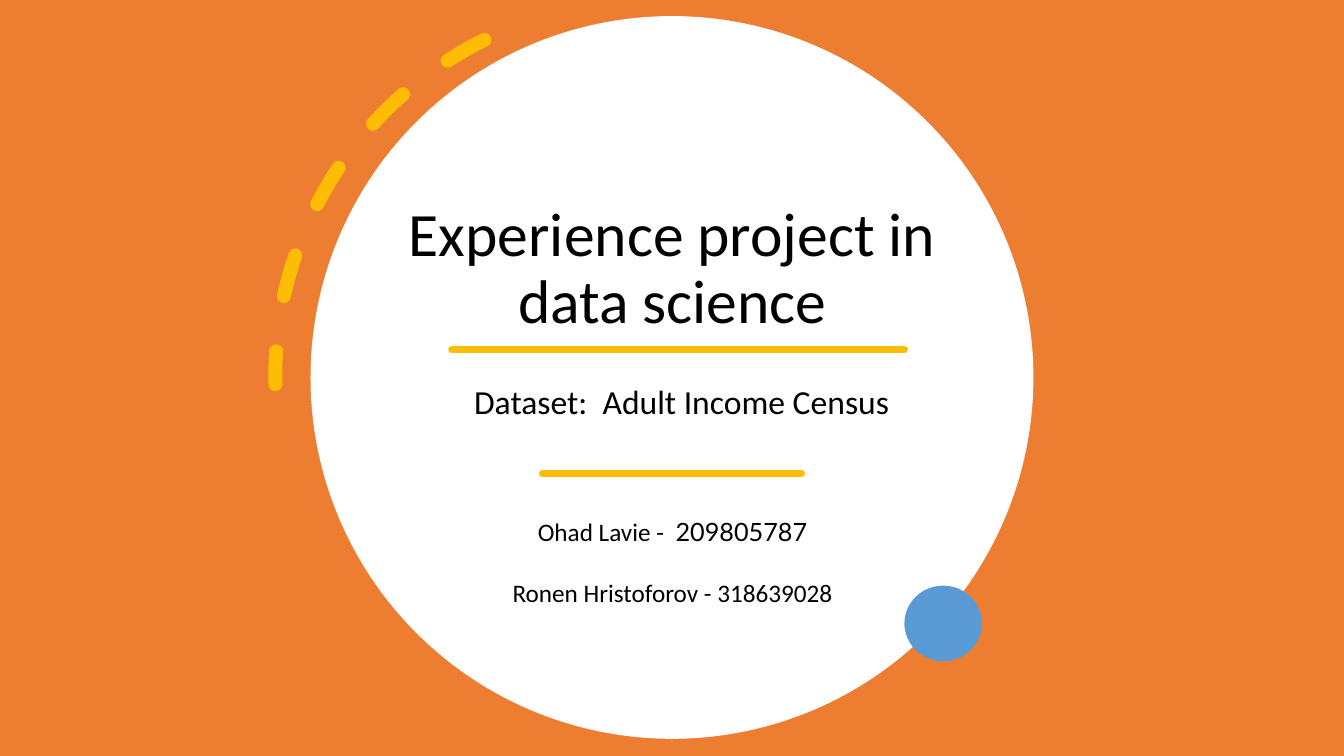
from lxml import etree
from pptx import Presentation
from pptx.dml.color import RGBColor
from pptx.enum.dml import MSO_LINE
from pptx.enum.shapes import MSO_CONNECTOR, MSO_SHAPE
from pptx.enum.text import MSO_ANCHOR, PP_ALIGN
from pptx.oxml.ns import qn
from pptx.util import Inches, Pt

CENTER = PP_ALIGN.CENTER
TOP, BOTTOM = MSO_ANCHOR.TOP, MSO_ANCHOR.BOTTOM
RECTANGLE, OVAL, ARC = MSO_SHAPE.RECTANGLE, MSO_SHAPE.OVAL, MSO_SHAPE.ARC
STRAIGHT = MSO_CONNECTOR.STRAIGHT
DASH = MSO_LINE.DASH

THEME = {
    "orange": RGBColor.from_string("ED7D31"),
    "white": RGBColor.from_string("FFFFFF"),
    "blue": RGBColor.from_string("5B9BD5"),
    "arc": RGBColor.from_string("FFC000"),
    "rule": RGBColor.from_string("FABD0A"),
    "text": RGBColor.from_string("000000"),
    "font": "Calibri",
    "number_font": "Lato",
    "title": Pt(44),
    "subtitle": Pt(24),
    "author": Pt(18),
}

prs = Presentation()
prs.slide_width, prs.slide_height = Inches(13.33), Inches(7.5)
slide = prs.slides.add_slide(prs.slide_layouts[6])
shapes = slide.shapes


def add_filled(kind, left, top, width, height, color):
    shape = shapes.add_shape(kind, Inches(left), Inches(top), Inches(width), Inches(height))
    shape.shadow.inherit = False
    shape.fill.solid()
    shape.fill.fore_color.rgb = color
    shape.line.fill.background()


def add_text(left, top, width, height, paragraphs, size, spacing, anchor):
    box = shapes.add_textbox(Inches(left), Inches(top), Inches(width), Inches(height))
    frame = box.text_frame
    frame.word_wrap = True
    frame.vertical_anchor = anchor
    for index, pieces in enumerate(paragraphs):
        paragraph = frame.add_paragraph() if index else frame.paragraphs[0]
        paragraph.alignment = CENTER
        paragraph.line_spacing = spacing
        if index:
            paragraph.space_before = Pt(22)
        for words, font in pieces:
            run = paragraph.add_run()
            run.text = words
            run.font.name = font
            run.font.size = size
            run.font.color.rgb = THEME["text"]


add_filled(RECTANGLE, 0, 0, 13.33, 7.5, THEME["orange"])
add_filled(OVAL, 3.08, 0.16, 7.17, 7.17, THEME["white"])

add_text(3.72, 1.42, 5.9, 1.97, [[("Experience project in data science", THEME["font"])]],
         THEME["title"], 0.9, BOTTOM)
add_text(3.72, 3.78, 6.08, 0.54, [[("Dataset:  Adult Income Census", THEME["font"])]],
         THEME["subtitle"], 0.9, TOP)

dashed_arc = shapes.add_shape(ARC, Inches(2.73), Inches(0.01), Inches(7.45), Inches(7.45))
dashed_arc.shadow.inherit = False
dashed_arc.adjustments[0] = 162
dashed_arc.adjustments[1] = 200.93
dashed_arc.rotation = 153.7
dashed_arc._element.spPr.find(qn("a:xfrm")).set("flipV", "1")
dashed_arc.fill.background()
dashed_arc.line.color.rgb = THEME["arc"]
dashed_arc.line.width = Pt(10)
dashed_arc.line.dash_style = DASH
arc_line = dashed_arc._element.spPr.find(qn("a:ln"))
arc_line.set("cap", "rnd")
etree.SubElement(arc_line.find(".//" + qn("a:srgbClr")), qn("a:alpha"), val="95000")

add_filled(OVAL, 8.97, 5.81, 0.77, 0.75, THEME["blue"])

for start, end, y in [(4.48, 8.97, 3.47), (5.38, 7.95, 4.7)]:
    rule = shapes.add_connector(STRAIGHT, Inches(start), Inches(y), Inches(end), Inches(y))
    rule.line.color.rgb = THEME["rule"]
    rule.line.width = Pt(5)
    rule_properties = rule._element.spPr
    rule_properties.find(qn("a:ln")).set("cap", "rnd")
    etree.SubElement(rule_properties, qn("a:effectLst"))

authors = [
    [("Ohad Lavie -  ", THEME["font"]), ("209805787", THEME["number_font"])],
    [("Ronen Hristoforov - 318639028", THEME["font"])],
]
add_text(4.86, 5.07, 3.62, 1.01, authors, THEME["author"], 1.0, TOP)

prs.save("out.pptx")
